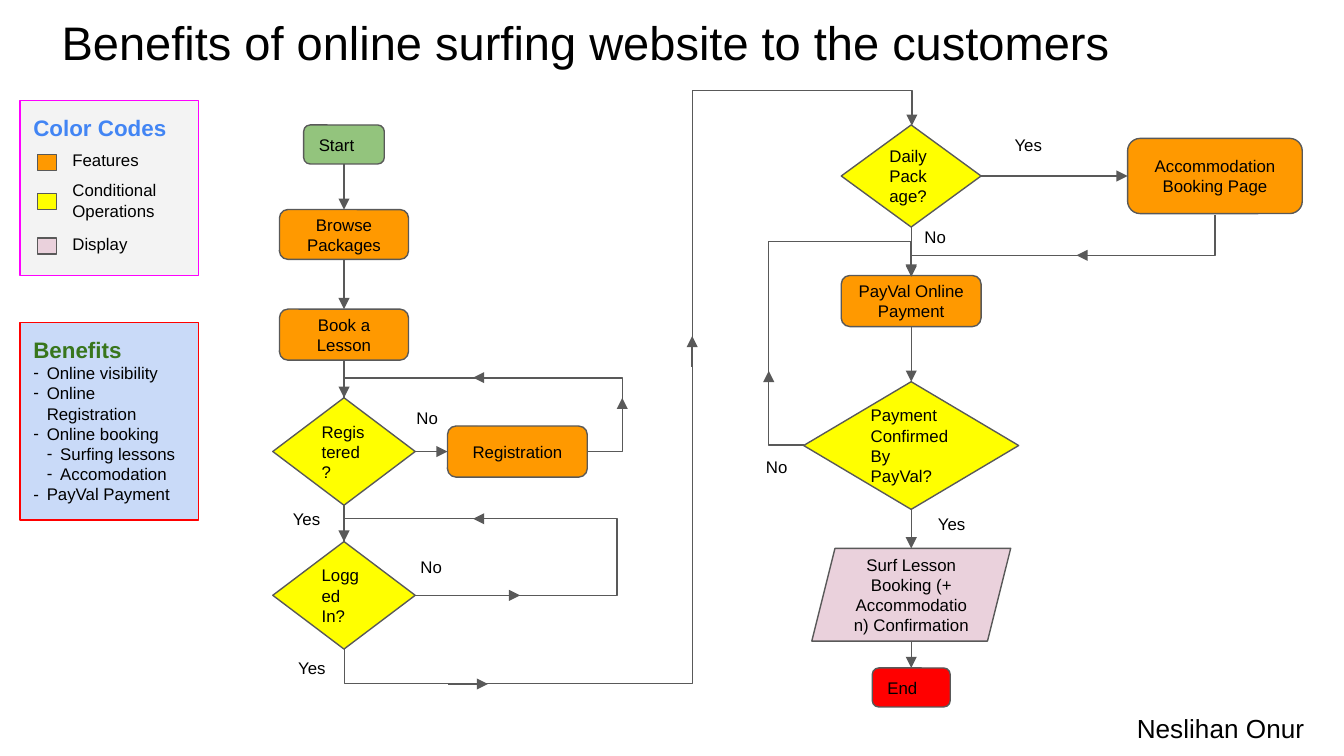
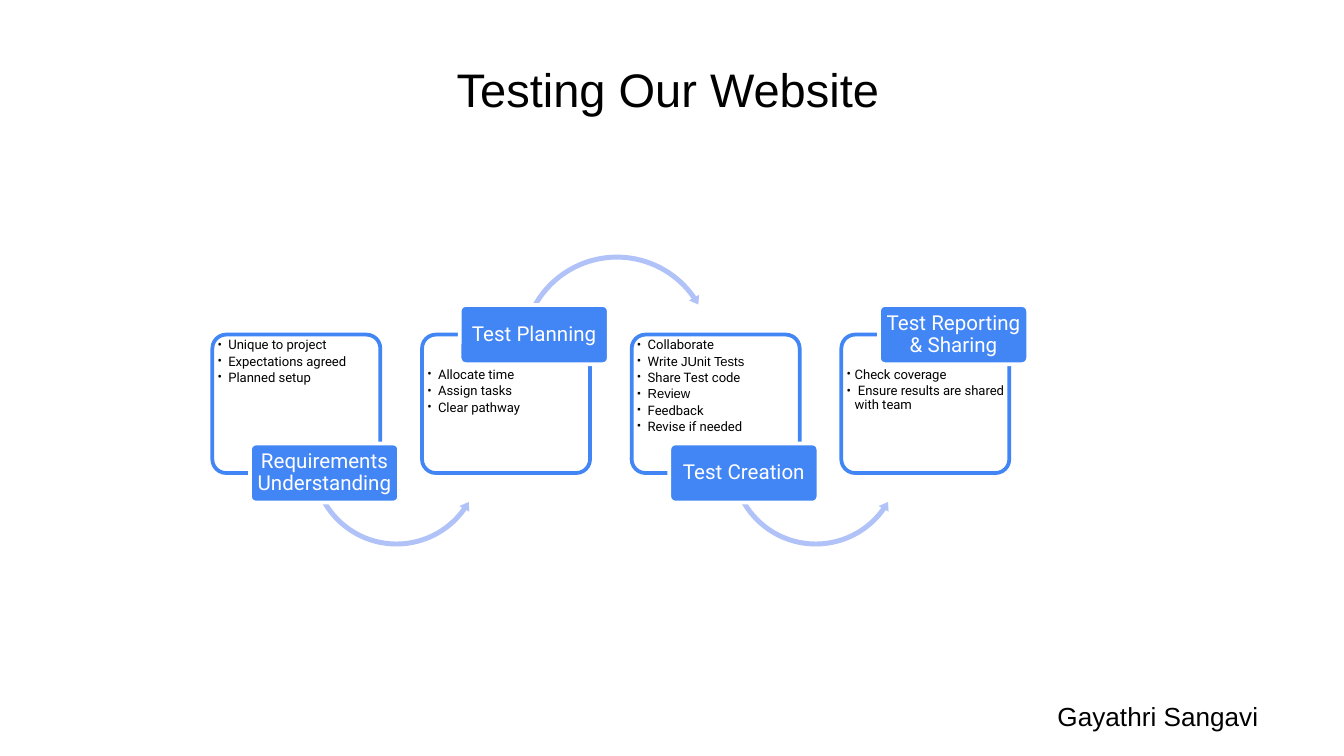
from dataclasses import dataclass

from lxml.etree import SubElement
from pptx import Presentation
from pptx.dml.color import RGBColor
from pptx.enum.shapes import MSO_CONNECTOR, MSO_SHAPE
from pptx.enum.text import MSO_ANCHOR, PP_ALIGN
from pptx.oxml.ns import qn
from pptx.util import Inches, Pt


@dataclass(frozen=True)
class Theme:
    black: str = "000000"
    white: str = "FFFFFF"
    gray: str = "595959"
    pale: str = "F3F3F3"
    green: str = "93C47D"
    forest: str = "38761D"
    orange: str = "FF9900"
    yellow: str = "FFFF00"
    red: str = "FF0000"
    pink: str = "EAD1DC"
    magenta: str = "FF00FF"
    sky: str = "C9DAF8"
    blue: str = "4285F4"
    arc: str = "B0C2F8"
    title: float = 25.2
    foot: float = 14
    head: float = 12
    tag: float = 11
    body: float = 9
    small: float = 7
    thin: float = 0.75
    thick: float = 2
    sans: str = "Arial"
    alt: str = "Roboto"


LEFT, CENTER = PP_ALIGN.LEFT, PP_ALIGN.CENTER
RECT, ROUND = MSO_SHAPE.RECTANGLE, MSO_SHAPE.ROUNDED_RECTANGLE
DIAMOND = MSO_SHAPE.DIAMOND


class Deck:
    def __init__(self):
        self.theme = Theme()
        self.show = Presentation()
        self.show.slide_width, self.show.slide_height = Inches(10), Inches(10 * 9 / 16)
        self.slide = None

    def page(self, title, spot, author, corner, align=LEFT):
        self.slide = self.show.slides.add_slide(self.show.slide_layouts[6])
        self.text(spot, title, self.theme.title, align)
        self.text(corner, author, self.theme.foot)

    def frame(self, shape, inset=0.1, anchor=MSO_ANCHOR.TOP):
        frame = shape.text_frame
        frame.word_wrap = True
        frame.vertical_anchor = anchor
        frame.margin_left = frame.margin_right = Inches(inset)
        frame.margin_top = frame.margin_bottom = Inches(inset)
        return frame

    def style(self, para, size, color, face=None, bold=False):
        for item in (para, *para.runs):
            font = item.font
            font.size, font.bold, font.name = Pt(size), bold, face or self.theme.sans
            font.color.rgb = RGBColor.from_string(color)

    def text(self, spot, words, size=None, align=LEFT):
        box = self.slide.shapes.add_textbox(*map(Inches, spot))
        para = self.frame(box).paragraphs[0]
        para.text, para.alignment = words, align
        self.style(para, size or self.theme.body, self.theme.black)

    def shape(self, kind, spot, fill, line=None, width=None, adjust=()):
        shape = self.slide.shapes.add_shape(kind, *map(Inches, spot))
        shape.shadow.inherit = False
        shape.fill.solid()
        shape.fill.fore_color.rgb = RGBColor.from_string(fill)
        if line:
            shape.line.color.rgb = RGBColor.from_string(line)
            shape.line.width = Pt(width or self.theme.thin)
        else:
            shape.line.fill.background()
        for i, value in enumerate(adjust):
            shape.adjustments[i] = value
        return shape

    def node(self, kind, spot, fill, words, align=CENTER, adjust=()):
        shape = self.shape(kind, spot, fill, self.theme.gray, adjust=adjust)
        para = self.frame(shape, anchor=MSO_ANCHOR.MIDDLE).paragraphs[0]
        para.text, para.alignment = words, align
        self.style(para, self.theme.body, self.theme.black)
        return shape

    def panel(self, spot, fill, line, head, color):
        frame = self.frame(self.shape(RECT, spot, fill, line))
        para = frame.paragraphs[0]
        para.text, para.alignment = head, LEFT
        self.style(para, self.theme.head, color, bold=True)
        return frame

    def bullet(self, para, mark, left, size, face):
        para.alignment = LEFT
        props = para._p.get_or_add_pPr()
        props.set("marL", str(Inches(left)))
        props.set("indent", str(-Inches(min(left, 0.1))))
        color = SubElement(props, qn("a:buClr"))
        SubElement(color, qn("a:srgbClr")).set("val", self.theme.black)
        SubElement(props, qn("a:buSzPts")).set("val", str(size * 100))
        SubElement(props, qn("a:buFont")).set("typeface", face)
        SubElement(props, qn("a:buChar")).set("char", mark)

    def line(self, start, end, arrow=True, kind=MSO_CONNECTOR.STRAIGHT):
        line = self.slide.shapes.add_connector(kind, *map(Inches, start + end))
        line.line.color.rgb = RGBColor.from_string(self.theme.gray)
        line.line.width = Pt(self.theme.thin)
        if arrow:
            SubElement(line.line._get_or_add_ln(), qn("a:tailEnd")).set("type", "triangle")
        SubElement(line._element.spPr, qn("a:effectLst"))
        return line

    def link(self, first, last, down=True):
        line = self.line((0, 0), (0, 0))
        line.begin_connect(first, 2 if down else 3)
        line.end_connect(last, 0 if down else 1)

    def elbow(self, spot, turn, bends, arrow=False, flip=False):
        x, y, w, h = spot
        ends = (x + w, x) if flip else (x, x + w)
        line = self.line((ends[0], y), (ends[1], y + h), arrow, MSO_CONNECTOR.ELBOW)
        props = line._element.spPr
        props.find(qn("a:xfrm")).set("rot", str(turn * 60000))
        geom = props.find(qn("a:prstGeom"))
        geom.set("prst", f"bentConnector{len(bends) + 2}")
        guides = geom.find(qn("a:avLst"))
        if guides is None:
            guides = SubElement(geom, qn("a:avLst"))
        for i, bend in enumerate(bends, 1):
            guide = SubElement(guides, qn("a:gd"))
            guide.set("name", f"adj{i}")
            guide.set("fmla", f"val {round(bend * 100000)}")

    def card(self, x, items, top, margin):
        theme = self.theme
        card = self.shape(ROUND, (x, 2.49, 1.25, 1.03), theme.white, theme.blue, theme.thick, (0.1,))
        tint = card._element.spPr.find(qn("a:solidFill"))[0]
        SubElement(tint, qn("a:alpha")).set("val", "90000")
        box = self.slide.shapes.add_textbox(*map(Inches, (x + 0.03, top, 1.2, 0.76)))
        frame = self.frame(box, 0.01)
        for i, item in enumerate(items):
            para = frame.add_paragraph() if i else frame.paragraphs[0]
            self.bullet(para, "•", margin, theme.small, theme.alt)
            para.line_spacing, para.space_after = 0.9, Pt(1.2)
            for part in item.split("|"):
                if part:
                    run = para.add_run()
                    run.text = part
            self.style(para, theme.small, theme.black, theme.alt)
            if "|" in item:
                para.runs[-1].font.name = theme.sans

    def tag(self, spot, words):
        theme = self.theme
        tag = self.shape(ROUND, spot, theme.blue, theme.white, theme.thick, (0.1,))
        para = self.frame(tag, 0.02, MSO_ANCHOR.MIDDLE).paragraphs[0]
        para.text, para.alignment, para.line_spacing = words, CENTER, 0.9
        self.style(para, theme.tag, theme.white, theme.alt)


def legend(deck):
    theme = deck.theme
    deck.panel((0.15, 0.75, 1.33, 1.3), theme.pale, theme.magenta, "Color Codes", theme.blue)
    rows = [
        (1.15, 1.04, theme.orange, "Features"),
        (1.44, 1.24, theme.yellow, "Conditional Operations"),
        (1.77, 1.66, theme.pink, "Display"),
    ]
    for y, top, color, words in rows:
        deck.shape(RECT, (0.28, y, 0.14, 0.12), color, theme.gray)
        deck.text((0.44, top, 0.89, 0.35), words)

    frame = deck.panel((0.15, 2.4, 1.33, 1.47), theme.sky, theme.red, "Benefits", theme.forest)
    gains = [
        (0, "Online visibility"), (0, "Online Registration"), (0, "Online booking"),
        (1, "Surfing lessons"), (1, "Accomodation"), (0, "PayVal Payment"),
    ]
    for level, words in gains:
        para = frame.add_paragraph()
        para.text, para.level = words, level
        deck.bullet(para, "-", 0.1 + 0.1 * level, theme.body, theme.sans)
        deck.style(para, theme.body, theme.black)


def flow(deck):
    theme = deck.theme
    deck.page("Benefits of online surfing website to the customers", (0.36, 0, 8.15, 0.63),
              "Neslihan Onur", (8.36, 5.2, 1.55, 0.42))
    start = deck.node(ROUND, (2.26, 0.93, 0.6, 0.29), theme.green, "Start", LEFT)
    browse = deck.node(ROUND, (2.08, 1.56, 0.96, 0.37), theme.orange, "Browse Packages")
    book = deck.node(ROUND, (2.08, 2.3, 0.96, 0.38), theme.orange, "Book a Lesson")
    member = deck.node(DIAMOND, (2.03, 2.96, 1.06, 0.8), theme.yellow, "Registered?", LEFT)
    signup = deck.node(ROUND, (3.33, 3.17, 1.04, 0.38), theme.orange, "Registration")
    login = deck.node(DIAMOND, (2.03, 4.03, 1.06, 0.8), theme.yellow, "Logged In?", LEFT)
    daily = deck.node(DIAMOND, (6.26, 0.93, 1.04, 0.76), theme.yellow, "Daily Package?", LEFT)
    hotel = deck.node(ROUND, (8.39, 1.03, 1.3, 0.56), theme.orange, "Accommodation Booking Page")
    pay = deck.node(ROUND, (6.26, 2.05, 1.04, 0.38), theme.orange, "PayVal Online Payment")
    paid = deck.node(DIAMOND, (5.98, 2.84, 1.6, 0.95), theme.yellow,
                     "Payment Confirmed By PayVal?", LEFT)
    deck.node(MSO_SHAPE.PARALLELOGRAM, (6.04, 4.08, 1.48, 0.69), theme.pink,
              "Surf Lesson Booking (+ Accommodation) Confirmation", adjust=(0.25,))
    end = deck.node(ROUND, (6.49, 4.97, 0.58, 0.29), theme.red, "End", LEFT)

    chain = [(start, browse), (browse, book), (book, member), (member, login),
             (daily, pay), (pay, paid)]
    for first, last in chain:
        deck.link(first, last)
    deck.link(member, signup, False)
    deck.link(daily, hotel, False)
    deck.line((6.78, 3.79), (6.78, 4.08)).begin_connect(paid, 2)
    deck.line((6.78, 4.77), (6.78, 4.97)).end_connect(end, 0)

    deck.elbow((2.56, 2.96, 1.81, 0.4), 180, (-0.144, 1.369))
    deck.elbow((2.56, 4.03, 0.53, 0.4), 180, (-2.832, 1.427))
    deck.elbow((2.73, 0.77, 3.89, 4.22), 270, (-0.067, 0.613, 1.067), True)
    deck.elbow((7.68, 0.7, 0.46, 2.26), 90, (0.656,), True)
    deck.elbow((5.98, 2.05, 0.8, 1.26), 180, (-0.325, 1.202), flip=True)

    heads = [
        ((4.63, 3.24), (4.63, 2.96)), ((3.81, 2.81), (3.52, 2.81)),
        ((3.81, 3.86), (3.52, 3.86)), ((3.57, 4.43), (3.87, 4.43)),
        ((3.33, 5.09), (3.63, 5.09)), ((5.15, 2.73), (5.15, 2.5)),
        ((8.3, 1.9), (8.01, 1.9)), ((5.72, 2.99), (5.72, 2.76)),
    ]
    for tail, tip in heads:
        deck.line(tail, tip)

    notes = {
        "No": [(3, 2.96), (3.03, 4.07), (6.78, 1.61), (5.6, 3.32)],
        "Yes": [(2.12, 4.82), (2.08, 3.71), (7.45, 0.93), (6.88, 3.75)],
    }
    for words, spots in notes.items():
        for spot in spots:
            deck.text(spot + (0.42, 0.35), words)
    legend(deck)


def tests(deck):
    deck.page("Testing Our Website", (0.31, 0.35, 9.32, 0.63),
              "Gayathri Sangavi", (7.77, 5.11, 1.93, 0.44), CENTER)
    steps = [
        ("Requirements Understanding", ["Unique to project", "Expectations agreed", "Planned setup"]),
        ("Test Planning", ["Allocate time", "Assign tasks", "Clear pathway"]),
        ("Test Creation", ["Collaborate", "Write |JUnit Tests", "Share Test code", "|Review",
                           "Feedback", "Revise if needed"]),
        ("Test Reporting & Sharing", ["Check coverage", " Ensure results are shared with team"]),
    ]
    under = (MSO_SHAPE.LEFT_CIRCULAR_ARROW, 2.77, 1.32, (0.028, 3.365, 21.121, 90.245, 0.032))
    over = (MSO_SHAPE.CIRCULAR_ARROW, 1.87, 1.48, (0.025, 2.983, 195.262, 125.755, 0.029))
    for i, (name, items) in enumerate(steps):
        x = 1.58 + 1.56 * i
        low, last = i % 2 == 0, i == len(steps) - 1
        deck.card(x, items, 2.51 if low else 2.73, 0.06 if last else 0.08)
        if not last:
            kind, y, size, bends = under if low else over
            deck.shape(kind, (x + 0.71, y, size, size), deck.theme.arc, adjust=bends)
        deck.tag((x + 0.28, 3.3 if low else 2.27, 1.11, 0.44), name)


def main():
    deck = Deck()
    flow(deck)
    tests(deck)
    deck.show.save("out.pptx")


if __name__ == "__main__":
    main()
